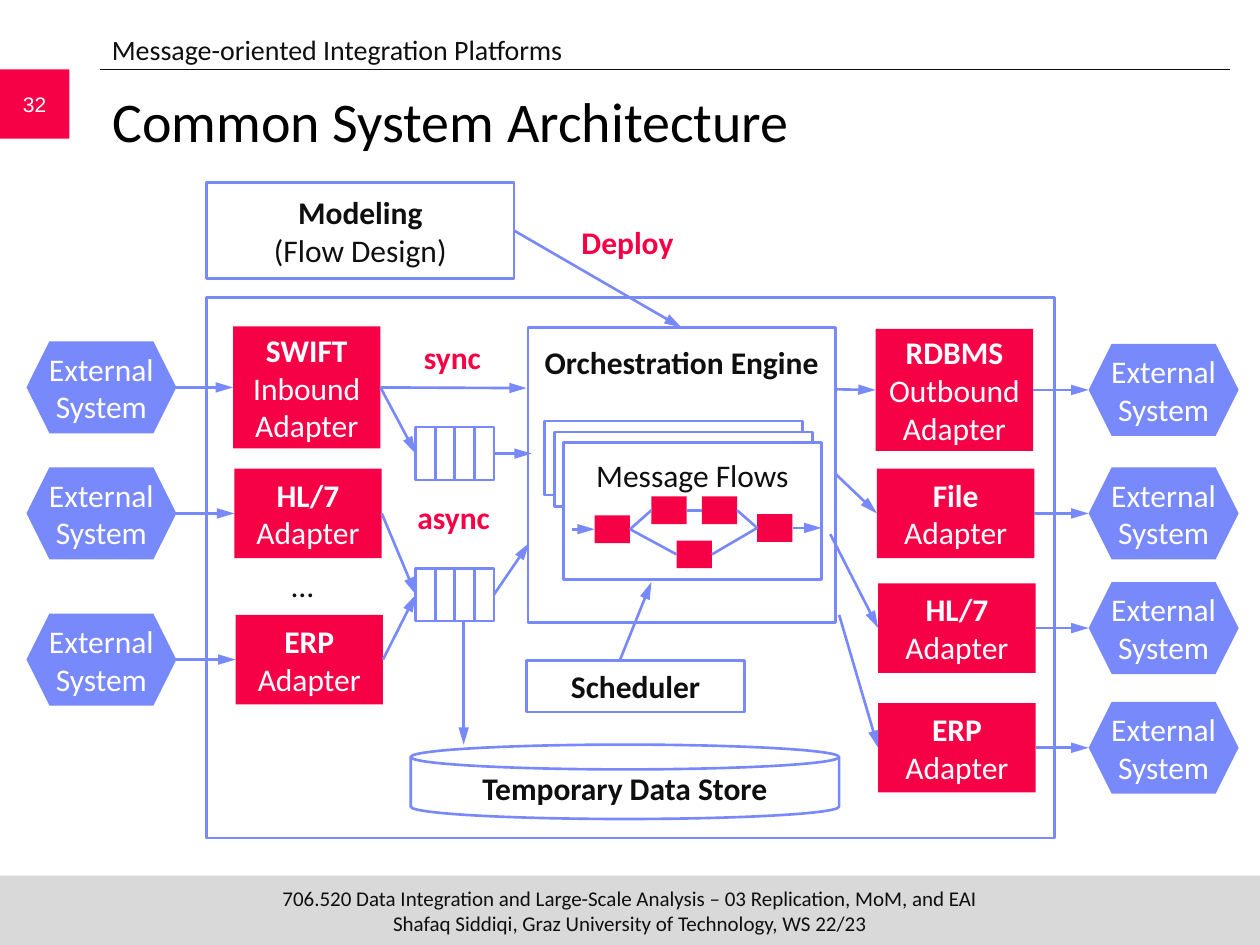
import pptx
import pptx.util
import pptx.dml.color
import pptx.enum.shapes
import pptx.enum.text
import pptx.oxml
import pptx.oxml.ns
from pptx.util import Inches

C = {"red": "F70146", "blue": "7889FB", "ink": "0F0F0F", "black": "000000",
     "white": "FFFFFF", "gray": "D9D9D9"}
SHAPE = pptx.enum.shapes.MSO_SHAPE
ANCHOR = pptx.enum.text.MSO_ANCHOR
ALIGN = pptx.enum.text.PP_ALIGN
TOP, LEFT, BOTTOM, RIGHT = range(4)


def rgb(name):
    return pptx.dml.color.RGBColor.from_string(C[name])


def write(sp, lines, color="ink", size=18, bold=0, font="Calibri", align=ALIGN.CENTER,
          anchor=ANCHOR.MIDDLE, inset_x=0.1, inset_y=0.05):
    """Write one paragraph of broken lines; the first `bold` lines are bold."""
    tf = sp.text_frame
    tf.word_wrap = True
    tf.vertical_anchor = anchor
    tf.margin_left = tf.margin_right = Inches(inset_x)
    tf.margin_top = tf.margin_bottom = Inches(inset_y)
    p = tf.paragraphs[0]
    p.alignment = align
    for i, line in enumerate(lines):
        if i:
            p.add_line_break()
        r = p.add_run()
        r.text = line
        r.font.bold = i < bold
    p.font.name, p.font.size = font, pptx.util.Pt(size)
    p.font.color.rgb = rgb(color)


def shape(s, box, fill=None, line=None, kind=SHAPE.RECTANGLE):
    sp = s.shapes.add_shape(kind, *map(Inches, box))
    sp.shadow.inherit = False
    if fill:
        sp.fill.solid()
        sp.fill.fore_color.rgb = rgb(fill)
    else:
        sp.fill.background()
    if line:
        sp.line.color.rgb = rgb(line)
        sp.line.width = pptx.util.Pt(1.5)
    else:
        sp.line.fill.background()
    return sp


def text(s, box, lines, **style):
    write(s.shapes.add_textbox(*map(Inches, box)), lines, **style)


def line(s, start, end, color="blue", width=1.5, arrow=True):
    """Each end is an (x, y) point or a (shape, side) pair."""
    joins = [not isinstance(e[0], (int, float)) for e in (start, end)]
    xy = [Inches(v) for e, j in zip((start, end), joins) for v in ((0, 0) if j else e)]
    cx = s.shapes.add_connector(pptx.enum.shapes.MSO_CONNECTOR.STRAIGHT, *xy)
    if joins[0]:
        cx.begin_connect(*start)
    if joins[1]:
        cx.end_connect(*end)
    cx.line.color.rgb = rgb(color)
    cx.line.width = pptx.util.Pt(width)
    if arrow:
        tail = pptx.oxml.parse_xml(
            '<a:tailEnd %s type="triangle" w="med" len="lg"/>' % pptx.oxml.ns.nsdecls("a"))
        cx.line._get_or_add_ln().append(tail)
    cx._element.spPr.append(
        pptx.oxml.parse_xml("<a:effectLst %s/>" % pptx.oxml.ns.nsdecls("a")))


def frame(s):
    """Header, page number, title and footer."""
    line(s, (0.79, 0.55), (9.76, 0.55), "ink", 0.5, arrow=False)
    write(shape(s, (0, 0.55, 0.55, 0.55), "red"), ["32"], "white", 12, font="Arial")
    write(shape(s, (0, 6.95, 10, 0.55), "gray"),
          ["706.520 Data Integration and Large-Scale Analysis – 03 Replication, MoM, and EAI",
           "Shafaq Siddiqi, Graz University of Technology, WS 22/23"], size=12, inset_y=0)
    title = s.shapes.title
    title.left, title.top, title.width, title.height = map(Inches, (0.79, 0.64, 8.96, 0.83))
    write(title, ["Common System Architecture"], "black", 32, align=ALIGN.LEFT,
          anchor=ANCHOR.TOP)
    text(s, (0.79, 0.21, 9, 0.36), ["Message-oriented Integration Platforms"], size=16,
         align=ALIGN.LEFT, anchor=ANCHOR.TOP)


def adapter(s, box, lines, system_x, inbound):
    """An adapter and the external system it talks to."""
    x, y, w, h = box
    sp = shape(s, box, "red")
    write(sp, lines, "white", bold=1, inset_x=0.05)
    mid = y + h / 2
    system = shape(s, (system_x, mid - 0.365, 1.19, 0.73), "blue", kind=SHAPE.HEXAGON)
    write(system, ["External", "System"], "white", inset_x=0, inset_y=0)
    if inbound:
        line(s, (system_x + 1.19, mid), (sp, LEFT))
    else:
        line(s, (sp, RIGHT), (system_x, mid))
    return sp


def queue(s, box):
    """Four cells side by side; returns the first and the last."""
    x, y, w, h = box
    cells = [shape(s, (x + i * w / 4, y, w / 4, h), line="blue") for i in range(4)]
    return cells[0], cells[-1]


def message_flows(s, box):
    """Stack of flows with a small operator graph on the front one."""
    x, y, w, h = box
    for dx, dy in ((0.15, 0.17), (0.07, 0.08)):
        shape(s, (x - dx, y - dy, w, 0.59), "white", "blue")
    write(shape(s, box, "white", "blue"), ["Message Flows"], anchor=ANCHOR.TOP, inset_y=0.11)
    first, upper, upper_next, last, lower = [
        shape(s, (x + dx, y + dy, 0.28, 0.22), "red")
        for dx, dy in ((0.25, 0.58), (0.7, 0.43), (1.1, 0.43), (1.54, 0.57), (0.9, 0.78))]
    for a, b in ((first, upper), (upper, upper_next), (upper_next, last),
                 (first, lower), (lower, last)):
        line(s, (a, RIGHT), (b, LEFT), arrow=False)
    line(s, (x + 0.07, y + 0.69), (first, LEFT))
    line(s, (last, RIGHT), (x + w, y + 0.68))


def engine(s, box):
    x, y, w, h = box
    sp = shape(s, box, line="blue")
    write(sp, ["Orchestration Engine"], bold=1, anchor=ANCHOR.TOP, inset_y=0.12)
    message_flows(s, (x + 0.28, y + 0.91, 2.05, 1.09))
    return sp


def architecture(s, box):
    x, y, w, h = box
    shape(s, box, line="blue")

    # Inbound and outbound adapters
    swift, hl7_in, erp_in = [
        adapter(s, (x + dx, top, 1.17, height), lines, 0.21, True)
        for dx, top, height, lines in (
            (0.21, 2.59, 0.97, ["SWIFT", "Inbound", "Adapter"]),
            (0.22, 3.72, 0.71, ["HL/7", "Adapter"]),
            (0.23, 4.88, 0.71, ["ERP", "Adapter"]))]
    outbound = [
        adapter(s, (x + dx, top, 1.25, height), lines, 8.64, False)
        for dx, top, height, lines in (
            (5.31, 2.61, 0.97, ["RDBMS", "Outbound", "Adapter"]),
            (5.32, 3.72, 0.71, ["File", "Adapter"]),
            (5.33, 4.63, 0.71, ["HL/7", "Adapter"]),
            (5.33, 5.58, 0.71, ["ERP", "Adapter"]))]

    # Engine, design tool, scheduler and store
    core = engine(s, (4.19, 2.6, 2.44, 2.34))
    modeling = shape(s, (x, 1.45, 2.44, 0.76), line="blue")
    write(modeling, ["Modeling", "(Flow Design)"], bold=1)
    write(shape(s, (4.18, 5.24, 1.73, 0.41), line="blue"), ["Scheduler"], bold=1)
    write(shape(s, (3.26, 5.91, 3.4, 0.59), line="blue", kind=SHAPE.FLOWCHART_MAGNETIC_DISK),
          ["Temporary Data Store"], bold=1)

    # Queues
    sync_in, sync_out = queue(s, (3.3, 3.39, 0.62, 0.42))
    async_in, async_out = queue(s, (3.3, 4.51, 0.62, 0.42))

    # Message paths
    for start, end in (
            ((modeling, RIGHT), (core, TOP)),
            ((swift, RIGHT), (4.18, 3.08)),
            ((swift, RIGHT), (sync_in, LEFT)),
            ((hl7_in, RIGHT), (async_in, LEFT)),
            ((erp_in, RIGHT), (async_in, LEFT)),
            ((sync_out, RIGHT), (4.22, 3.6)),
            ((async_out, RIGHT), (4.2, 4.31)),
            ((3.68, 4.93), (3.68, 5.91)),
            ((4.92, 5.24), (5.17, 4.62))):
        line(s, start, end)
    for start, target in zip(((6.63, 3.09), (6.63, 3.76), (6.59, 4.24), (6.66, 4.88)), outbound):
        line(s, start, (target, LEFT))

    # Labels
    for left, top, label in ((4.49, 1.72, "Deploy"), (3.1, 2.63, "sync"), (3.11, 3.9, "async")):
        text(s, (left, top, 0.98, 0.4), [label], color="red", bold=1, inset_x=0,
             anchor=ANCHOR.TOP)
    text(s, (1.91, 4.44, 0.98, 0.4), ["…"], inset_x=0, anchor=ANCHOR.TOP)


def main():
    prs = pptx.Presentation()
    prs.slide_width, prs.slide_height = Inches(10), Inches(7.5)
    s = prs.slides.add_slide(prs.slide_layouts[5])
    frame(s)
    architecture(s, (1.64, 2.36, 6.73, 4.29))
    prs.save("out.pptx")


if __name__ == "__main__":
    main()
